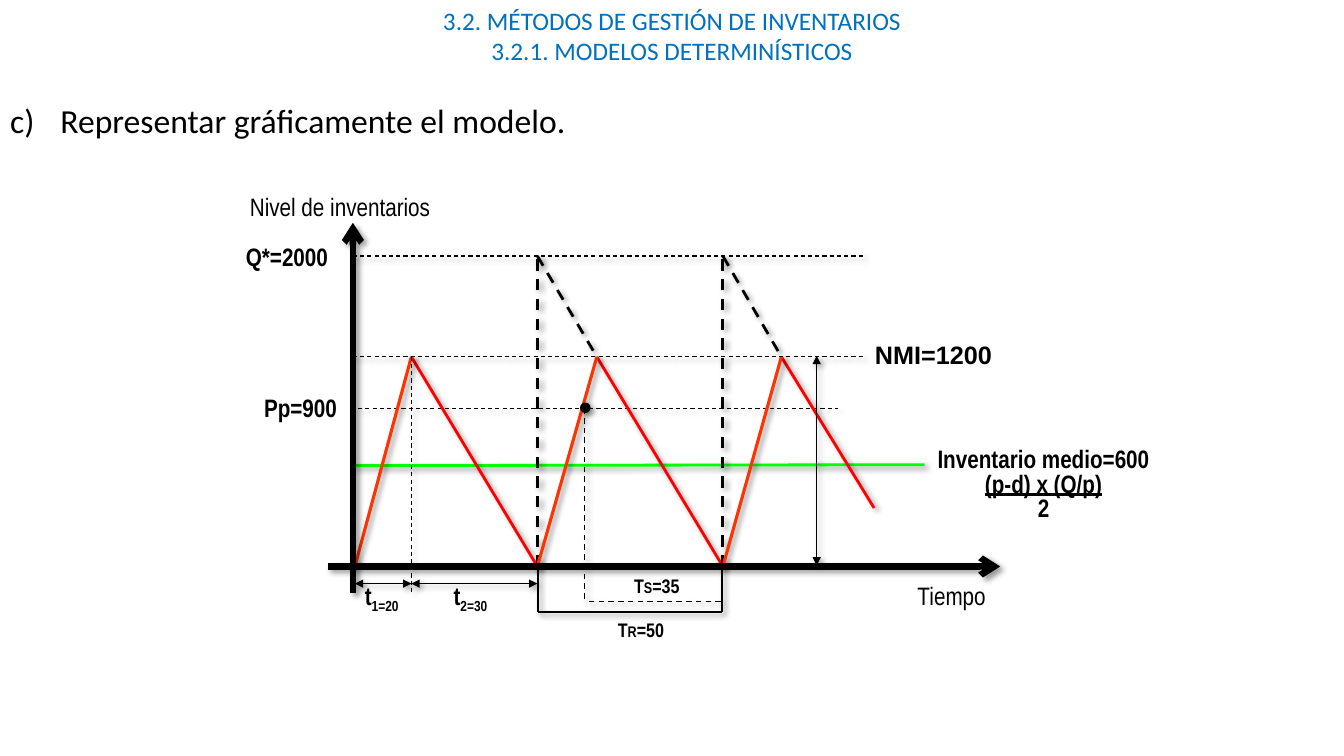
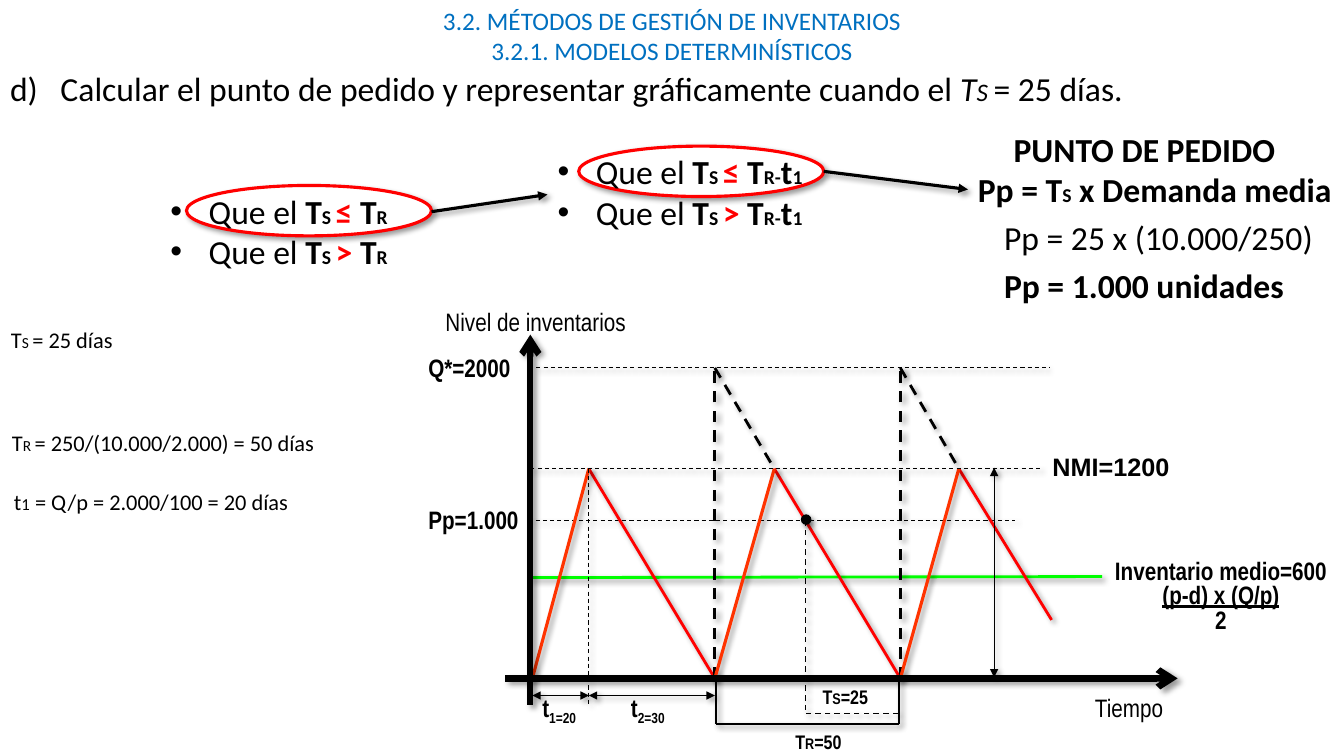
from copy import deepcopy
from dataclasses import dataclass
from typing import NamedTuple

from lxml.etree import SubElement
from pptx import Presentation
from pptx.dml.color import RGBColor
from pptx.enum.dml import MSO_LINE
from pptx.enum.shapes import MSO_CONNECTOR, MSO_SHAPE
from pptx.enum.text import MSO_ANCHOR, MSO_AUTO_SIZE, PP_ALIGN
from pptx.oxml import parse_xml
from pptx.oxml.ns import qn
from pptx.util import Emu, Pt

PX = 9144  # 100 px to the inch
COLORS = {"text": "000000", "title": "0070C0", "fall": "FF0000", "rise": "FF3300",
          "mean": "00FF00", "paper": "FFFFFF"}
TITLE = "3.2. MÉTODOS DE GESTIÓN DE INVENTARIOS\n3.2.1. MODELOS DETERMINÍSTICOS"
BODY_FONT, LABEL_FONT = "Calibri", "Arial Narrow"
SHADOW = parse_xml(
    '<a:effectLst xmlns:a="http://schemas.openxmlformats.org/drawingml/2006/main">'
    '<a:outerShdw blurRad="50800" dist="38100" dir="2700000" algn="tl" rotWithShape="0">'
    '<a:srgbClr val="000000"><a:alpha val="40000"/></a:srgbClr></a:outerShdw></a:effectLst>')

# Chart geometry, in px from the origin of the axes
STARTS, PEAKS = (2, 183, 367), (58, 242, 425)
TOP_LEVEL, PEAK_LEVEL, ORDER_LEVEL = -308, -208, -157
LAST_FALL_END = (517, -58)


class Piece(NamedTuple):
    text: str
    size: float
    bold: bool = False
    color: str = "text"
    italic: bool = False
    underline: bool = False
    subscript: bool = False


class Box(NamedTuple):
    left: int
    top: int
    width: int
    height: int


@dataclass
class Line:
    start: tuple[int, int]
    end: tuple[int, int]
    width: float = 0.75
    color: str = "text"
    dashed: bool = False
    head: str = ""
    tail: str = ""


@dataclass
class Label:
    box: Box
    paragraphs: list[list[Piece]]
    font: str = LABEL_FONT
    align: PP_ALIGN = PP_ALIGN.LEFT
    spacing: float = 1.0
    wrap: bool = True


@dataclass
class InventoryChart:
    origin: tuple[int, int]
    caption_offset: tuple[int, int]
    quantity_left: int
    top_line: tuple[int, int]
    order_text: str
    order_width: int
    order_x: int
    supply_text: str
    supply_left: int


def px(value: int) -> Emu:
    return Emu(value * PX)


def rgb(name: str) -> RGBColor:
    return RGBColor.from_string(COLORS[name])


def add_shadow(shape) -> None:
    shape._element.spPr.append(deepcopy(SHADOW))


def write(paragraph, pieces: list[Piece], font: str, align: PP_ALIGN) -> None:
    paragraph.alignment = align
    for piece in pieces:
        run = paragraph.add_run()
        run.text = piece.text
        run.font.name, run.font.size = font, Pt(piece.size)
        run.font.bold, run.font.italic = piece.bold, piece.italic
        run.font.underline = piece.underline
        run.font.color.rgb = rgb(piece.color)
        if piece.subscript:
            run._r.get_or_add_rPr().set("baseline", "-25000")


def add_label(slide, label: Label) -> None:
    shape = slide.shapes.add_textbox(*map(px, label.box))
    frame = shape.text_frame
    frame.word_wrap = label.wrap
    for index, pieces in enumerate(label.paragraphs):
        paragraph = frame.add_paragraph() if index else frame.paragraphs[0]
        paragraph.line_spacing = label.spacing
        write(paragraph, pieces, label.font, label.align)


def add_line(slide, line: Line, origin: tuple[int, int] = (0, 0)) -> None:
    points = [px(point[axis] + origin[axis]) for point in (line.start, line.end) for axis in (0, 1)]
    connector = slide.shapes.add_connector(MSO_CONNECTOR.STRAIGHT, *points)
    connector.line.color.rgb = rgb(line.color)
    connector.line.width = Pt(line.width)
    if line.dashed:
        connector.line.dash_style = MSO_LINE.DASH
    outline = connector.line._get_or_add_ln()
    for tag, arrow in (("a:headEnd", line.head), ("a:tailEnd", line.tail)):
        if arrow:
            SubElement(outline, qn(tag)).set("type", arrow)
    add_shadow(connector)


def add_oval(slide, kind: MSO_SHAPE, box: Box, fill: str, color: str, width: float):
    shape = slide.shapes.add_shape(kind, *map(px, box))
    shape.fill.solid()
    shape.fill.fore_color.rgb = rgb(fill)
    shape.line.color.rgb = rgb(color)
    shape.line.width = Pt(width)
    add_shadow(shape)
    return shape


def place(placeholder, box: Box):
    placeholder.left, placeholder.top, placeholder.width, placeholder.height = map(px, box)
    frame = placeholder.text_frame
    frame.word_wrap = True
    frame.auto_size = MSO_AUTO_SIZE.NONE
    frame.vertical_anchor = MSO_ANCHOR.TOP
    return frame


def fill_list(placeholder, box: Box, items: list[list[Piece]], margin: int, hanging: int,
              number: int = 0) -> None:
    """Fill a list with bullets, or with letters from the given number on."""
    frame = place(placeholder, box)
    for index, pieces in enumerate(items):
        paragraph = frame.add_paragraph() if index else frame.paragraphs[0]
        paragraph.space_before = Pt(0)
        properties = paragraph._p.get_or_add_pPr()
        properties.set("marL", str(px(margin)))
        properties.set("indent", str(-px(hanging)))
        if number:
            bullet = SubElement(properties, qn("a:buAutoNum"))
            bullet.set("type", "alphaLcParenR")
            bullet.set("startAt", str(number))
        else:
            SubElement(properties, qn("a:buFont")).set("typeface", "Arial")
            SubElement(properties, qn("a:buChar")).set("char", "•")
        write(paragraph, pieces, BODY_FONT, PP_ALIGN.JUSTIFY)


def new_slide(presentation, layout: int):
    slide = presentation.slides.add_slide(presentation.slide_layouts[layout])
    frame = place(slide.shapes.title, Box(0, 0, 1333, 70))
    frame.text = TITLE
    for paragraph in frame.paragraphs:
        paragraph.alignment = PP_ALIGN.CENTER
        for run in paragraph.runs:
            run.font.name, run.font.size = BODY_FONT, Pt(18)
            run.font.color.rgb = rgb("title")
    return slide


def add_chart_lines(slide, chart: InventoryChart) -> None:
    lines = [Line((-2, ORDER_LEVEL), (481, ORDER_LEVEL), dashed=True),
             Line((-1, -100), (567, -101), 2, "mean")]
    # Saw-tooth cycles
    ends = [(start, 0) for start in STARTS[1:]] + [LAST_FALL_END]
    for start, peak, end in zip(STARTS, PEAKS, ends):
        summit = (peak, PEAK_LEVEL)
        if start != STARTS[0]:
            lines += [Line((start, 0), (start, TOP_LEVEL), 2, dashed=True),
                      Line((start, TOP_LEVEL), summit, 2, dashed=True)]
        lines += [Line(summit, end, 2, "fall"), Line(summit, (start, 0), 2.25, "rise")]
    # Levels and measured spans
    first_peak = PEAKS[0]
    lines += [
        Line((first_peak, PEAK_LEVEL), (first_peak, 26), dashed=True),
        Line((0, PEAK_LEVEL), (508, PEAK_LEVEL), dashed=True),
        Line((chart.top_line[0], TOP_LEVEL), (chart.top_line[1], TOP_LEVEL), dashed=True)]
    spans = [((STARTS[0], 17), (first_peak, 17)), ((first_peak, 17), (STARTS[1], 17)),
             ((460, -1), (460, PEAK_LEVEL - 1))]
    lines += [Line(start, end, head="triangle", tail="triangle") for start, end in spans]
    # Axes
    lines += [Line((0, -341), (0, 26), 4.5, head="arrow"),
              Line((-25, 0), (642, 0), 4.5, tail="arrow")]
    # Supply time and review period
    lines += [Line((chart.order_x, ORDER_LEVEL), (chart.order_x, 35), 1, dashed=True),
              Line((365, 35), (chart.order_x, 35), 1, dashed=True)]
    lines += [Line((x, -1), (x, 45), 1.5) for x in (184, 366)]
    lines.append(Line((184, 45), (366, 45), 1.5))
    for line in lines:
        add_line(slide, line, chart.origin)


def add_inventory_chart(slide, chart: InventoryChart) -> None:
    add_chart_lines(slide, chart)
    left, top = chart.origin
    add_oval(slide, MSO_SHAPE.FLOWCHART_CONNECTOR,
             Box(left + chart.order_x - 4, top + ORDER_LEVEL - 5, 9, 9), "text", "text", 1)

    def label(x: int, y: int, width: int, *pieces: Piece, font: str = LABEL_FONT) -> None:
        height = 34 if pieces[0].size == 14 else 40
        add_label(slide, Label(Box(left + x, top + y, width, height), [list(pieces)], font))

    label(*chart.caption_offset, 201, Piece("Nivel de inventarios", 18))
    label(550, 9, 117, Piece("Tiempo", 18))
    label(chart.quantity_left, -328, 114, Piece("Q*=2000", 18, True))
    label(1 - chart.order_width, -178, chart.order_width, Piece(chart.order_text, 18, True))
    label(508, -230, 143, Piece("NMI=1200", 18, True), font="Arial")
    for x, width, text in ((2, 65, "1=20"), (90, 80, "2=30")):
        label(x, 9, width, Piece("t", 18, True), Piece(text, 18, True, subscript=True))
    for x, y, letter, text in ((chart.supply_left, 2, "S", chart.supply_text),
                               (253, 46, "R", "=50")):
        label(x, y, 77, Piece("T", 14, True), Piece(letter, 11, True), Piece(text, 14, True))
    mean = [[Piece("Inventario medio=600", 18, True)],
            [Piece("(p-d) x (Q/p)", 18, True, underline=True)], [Piece("2", 18, True)]]
    add_label(slide, Label(Box(left + 540, top - 121, 290, 83), mean,
                           align=PP_ALIGN.CENTER, spacing=0.8))


def condition(sign: str, *ending: Piece) -> list[Piece]:
    return [Piece("Que el ", 24), Piece("T", 24, True), Piece("S ", 14, True),
            Piece(sign, 24, True, "fall"), Piece(" T", 24, True), *ending]


def build_graph_slide(presentation) -> None:
    slide = new_slide(presentation, 1)
    fill_list(slide.placeholders[1], Box(0, 94, 1333, 50),
              [[Piece("Representar gráficamente el modelo.", 24)]], 50, 50, 3)
    add_inventory_chart(slide, InventoryChart(
        (350, 562), (-112, -377), -116, (0, 508), "Pp=900", 99, 230, "=35", 269))


def build_order_point_slide(presentation) -> None:
    slide = new_slide(presentation, 4)
    question, cases, unused, subcases = [slide.placeholders[index] for index in (1, 2, 3, 4)]
    unused._element.getparent().remove(unused._element)
    fill_list(question, Box(0, 62, 1333, 50), [[
        Piece("Calcular el punto de pedido y representar gráficamente cuando el ", 24),
        Piece("T", 24, italic=True), Piece("S ", 18, italic=True), Piece("= 25 días.", 24)]],
        50, 50, 4)
    # Cases, with the chosen ones ringed
    endings = ((cases, Box(109, 184, 363, 91), [Piece("R", 14, True)]),
               (subcases, Box(493, 145, 363, 91),
                [Piece("R-", 14, True), Piece("t", 24, True), Piece("1", 14, True)]))
    for placeholder, box, ending in endings:
        fill_list(placeholder, box, [condition(sign, *ending) for sign in "≤>"], 88, 38)
    for left, top in ((185, 184), (574, 145)):
        ring = add_oval(slide, MSO_SHAPE.OVAL, Box(left, top, 243, 50), "paper", "fall", 2.25)
        ring._element.getparent().insert(2, ring._element)  # behind the text
    for start, end in (((428, 210), (543, 193)), ((817, 170), (960, 188))):
        add_line(slide, Line(start, end, 2.25, tail="triangle"))
    # Formulas and given values
    formulas = (
        (Box(960, 163, 373, 50), [Piece("Pp = T", 24, True), Piece("S", 14, True),
                                  Piece(" x Demanda media", 24, True)]),
        (Box(986, 210, 329, 50), [Piece("Pp = 25 x (10.000/250)", 24)]),
        (Box(986, 258, 300, 50), [Piece("Pp = 1.000 unidades", 24, True)]),
        (Box(1, 319, 202, 37), [Piece("T", 16), Piece("S ", 11), Piece("= 25 días", 16)]),
        (Box(2, 421, 324, 37), [Piece("T", 16), Piece("R ", 11),
                                Piece("= 250/(10.000/2.000) = 50 días", 16)]),
        (Box(4, 479, 321, 37), [Piece("t", 16), Piece("1", 12),
                                Piece(" = Q/p = 2.000/100 = 20 días", 16)]))
    add_label(slide, Label(Box(984, 123, 302, 50), [[Piece("PUNTO DE PEDIDO", 24, True)]],
                           BODY_FONT, PP_ALIGN.CENTER))
    for box, pieces in formulas:
        add_label(slide, Label(box, [pieces], BODY_FONT, wrap=box.left < 100))
    add_inventory_chart(slide, InventoryChart(
        (526, 673), (-94, -374), -111, (6, 515), "Pp=1.000", 112, 273, "=25", 280))


def main() -> None:
    presentation = Presentation()
    presentation.slide_width, presentation.slide_height = px(1333), px(750)
    build_graph_slide(presentation)
    build_order_point_slide(presentation)
    presentation.save("out.pptx")


if __name__ == "__main__":
    main()
